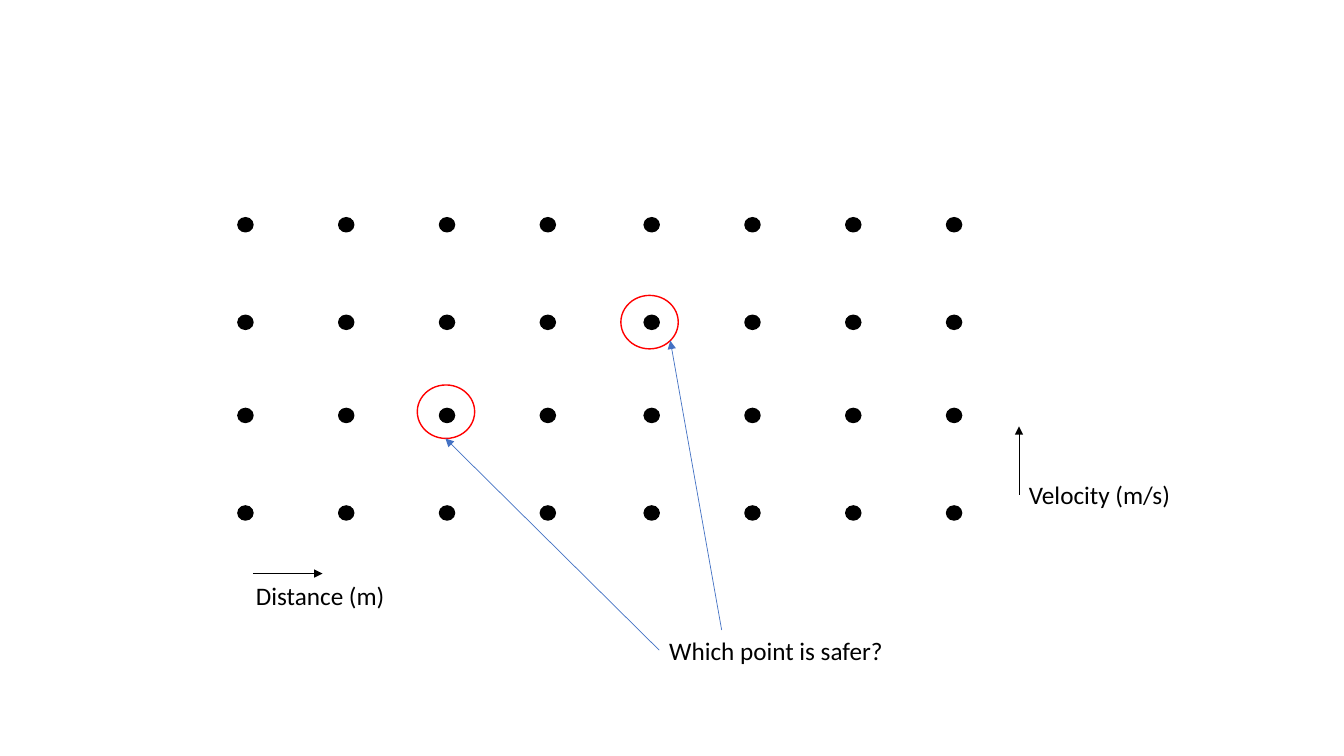
from itertools import product

from lxml import etree
from pptx import Presentation
from pptx.dml.color import RGBColor
from pptx.enum.shapes import MSO_CONNECTOR, MSO_SHAPE
from pptx.enum.text import MSO_AUTO_SIZE
from pptx.oxml.ns import qn
from pptx.util import Pt

OVAL = MSO_SHAPE.OVAL
DOT = MSO_SHAPE.FLOWCHART_CONNECTOR
STRAIGHT = MSO_CONNECTOR.STRAIGHT
FIT_SHAPE = MSO_AUTO_SIZE.SHAPE_TO_FIT_TEXT
BLANK_LAYOUT = 6

COLORS = {"ink": "000000", "paper": "FFFFFF", "highlight": "FF0000", "pointer": "4472C4"}
LABEL_FONT = {"name": "Calibri", "size": Pt(18)}

LABELS = [
    ("Distance (m)", 175.7, 411.1, 126),
    ("Velocity (m/s)", 727.9, 339.1, 129.6),
    ("Which point is safer?", 470.9, 450, 267.8),
]
ARROWS = [
    ((180.7, 409.7), (230.4, 409.7), "ink"),
    ((727.9, 353.5), (727.9, 304.6), "ink"),
    ((470.9, 464.4), (318.2, 313.2), "pointer"),
    ((515.5, 450), (478.8, 243.4), "pointer"),
]
HIGHLIGHTS = [(443.5, 211), (298.1, 275)]
HIGHLIGHT_SIZE = (41, 38.2)

DOT_SIZE = (10.8, 10.1)
COLUMN_GAP, ROW_GAP = 72, 69.7
BLOCK_LEFTS, BLOCK_TOPS = (169.9, 460.1), (155.5, 291.7)
BLOCK_COLUMNS, BLOCK_ROWS = 4, 2
DOT_LEFTS = [left + COLUMN_GAP * column for left in BLOCK_LEFTS for column in range(BLOCK_COLUMNS)]
DOT_TOPS = [top + ROW_GAP * row for top in BLOCK_TOPS for row in range(BLOCK_ROWS)]


def color(name):
    return RGBColor.from_string(COLORS[name])


def add_round(slide, kind, position, size, fill, line):
    shape = slide.shapes.add_shape(kind, *map(Pt, position + size))
    shape.shadow.inherit = False
    shape.fill.solid()
    shape.fill.fore_color.rgb = color(fill)
    shape.line.color.rgb = color(line)
    shape.line.width = Pt(1)


def add_label(slide, text, left, top, width):
    box = slide.shapes.add_textbox(Pt(left), Pt(top), Pt(width), Pt(29.1))
    frame = box.text_frame
    frame.word_wrap = True
    frame.auto_size = FIT_SHAPE
    frame.text = text
    font = frame.paragraphs[0].runs[0].font
    for attribute, value in LABEL_FONT.items():
        setattr(font, attribute, value)
    font.color.rgb = color("ink")


def add_arrow(slide, start, end, line):
    arrow = slide.shapes.add_connector(STRAIGHT, *map(Pt, start + end))
    arrow.line.color.rgb = color(line)
    arrow.line.width = Pt(0.5)
    etree.SubElement(arrow.line._get_or_add_ln(), qn("a:tailEnd"), type="triangle")
    etree.SubElement(arrow._element.spPr, qn("a:effectLst"))


presentation = Presentation()
presentation.slide_width, presentation.slide_height = Pt(960), Pt(540)
slide = presentation.slides.add_slide(presentation.slide_layouts[BLANK_LAYOUT])

for position in HIGHLIGHTS:
    add_round(slide, OVAL, position, HIGHLIGHT_SIZE, "paper", "highlight")
for position in product(DOT_LEFTS, DOT_TOPS):
    add_round(slide, DOT, position, DOT_SIZE, "ink", "ink")
for label in LABELS:
    add_label(slide, *label)
for arrow in ARROWS:
    add_arrow(slide, *arrow)

presentation.save("out.pptx")
